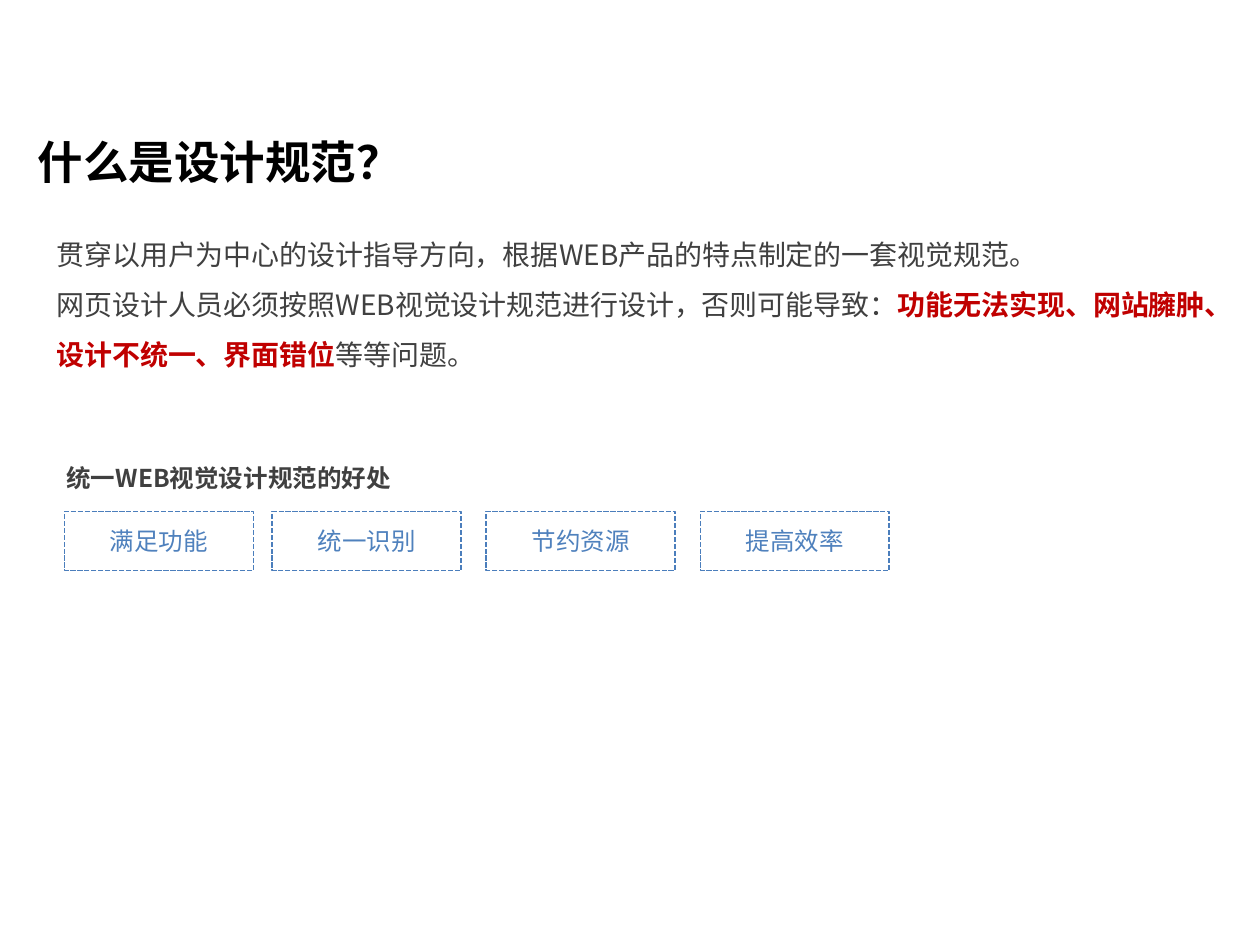
from dataclasses import dataclass

from lxml import etree
from pptx import Presentation
from pptx.dml.color import RGBColor
from pptx.enum.dml import MSO_LINE
from pptx.enum.lang import MSO_LANGUAGE_ID
from pptx.enum.shapes import MSO_SHAPE
from pptx.enum.text import MSO_ANCHOR, MSO_AUTO_SIZE, PP_ALIGN
from pptx.oxml.ns import qn
from pptx.util import Cm, Pt

RECTANGLE = MSO_SHAPE.RECTANGLE
DASH = MSO_LINE.SQUARE_DOT
CHINESE = MSO_LANGUAGE_ID.SIMPLIFIED_CHINESE
LEFT, CENTER = PP_ALIGN.LEFT, PP_ALIGN.CENTER
TOP, MIDDLE = MSO_ANCHOR.TOP, MSO_ANCHOR.MIDDLE
GROW, FIXED = MSO_AUTO_SIZE.SHAPE_TO_FIT_TEXT, MSO_AUTO_SIZE.NONE


@dataclass(frozen=True)
class Theme:
    """Fonts, type sizes and colours of the slide."""
    chinese: str = "Noto Sans CJK SC"
    latin: str = "Arial"
    title_size: int = 26
    body_size: int = 16
    label_size: int = 14
    black: str = "000000"
    grey: str = "404040"
    red: str = "C00000"
    blue: str = "4F81BD"
    border: str = "4B7EBC"


THEME = Theme()


@dataclass(frozen=True)
class Span:
    """A run of text with its look."""
    text: str
    size: int
    color: str = THEME.grey
    bold: bool = False
    font: str = THEME.chinese


@dataclass(frozen=True)
class Place:
    """A position and size in centimetres."""
    left: float
    top: float
    width: float
    height: float


@dataclass(frozen=True)
class Benefit:
    """A benefit and the left edge of its box."""
    label: str
    left: float


BODY = [
    [Span("贯穿以用户为中心的设计指导方向，根据WEB产品的特点制定的一套视觉规范。", THEME.body_size)],
    [
        Span("网页设计人员必须按照WEB视觉设计规范进行设计，否则可能导致：", THEME.body_size),
        Span("功能无法实现、网站臃肿、设计不统一、界面错位", THEME.body_size, THEME.red, True),
        Span("等等问题。", THEME.body_size),
    ],
]
BENEFITS = [
    Benefit("满足功能", 1.3),
    Benefit("统一识别", 5.49),
    Benefit("节约资源", 9.8),
    Benefit("提高效率", 14.12),
]


def add_span(para, span: Span) -> None:
    """Add one formatted run to a paragraph."""
    run = para.add_run()
    run.text = span.text
    font = run.font
    font.name, font.size, font.bold = span.font, Pt(span.size), span.bold
    font.color.rgb = RGBColor.from_string(span.color)
    font.language_id = CHINESE
    properties = run._r.get_or_add_rPr()
    etree.SubElement(properties, qn("a:ea"), typeface=THEME.chinese)


def fill_text(box, paragraphs: list[list[Span]], spacing: float = 1.0,
              align=LEFT, anchor=TOP, auto_size=FIXED) -> None:
    """Write paragraphs into a shape."""
    frame = box.text_frame
    frame.word_wrap = True
    frame.auto_size = auto_size
    frame.vertical_anchor = anchor
    for index, spans in enumerate(paragraphs):
        para = frame.add_paragraph() if index else frame.paragraphs[0]
        para.alignment, para.line_spacing = align, spacing
        para.space_before = Pt(0)
        for span in spans:
            add_span(para, span)


def bounds(place: Place) -> tuple[Cm, Cm, Cm, Cm]:
    """Turn a place into lengths."""
    return Cm(place.left), Cm(place.top), Cm(place.width), Cm(place.height)


def add_title(page, place: Place, span: Span) -> None:
    """Move and fill the title placeholder."""
    title = page.shapes.title
    title.left, title.top, title.width, title.height = bounds(place)
    fill_text(title, [[span]], auto_size=GROW)


def add_text(page, place: Place, paragraphs: list[list[Span]], auto_size=FIXED) -> None:
    """Add a text box with wide line spacing."""
    box = page.shapes.add_textbox(*bounds(place))
    fill_text(box, paragraphs, spacing=1.5, auto_size=auto_size)


def add_benefit(page, benefit: Benefit) -> None:
    """Add a dashed box with a centred label."""
    place = Place(benefit.left, 10.31, 3.81, 1.19)
    box = page.shapes.add_shape(RECTANGLE, *bounds(place))
    box.shadow.inherit = False
    box.fill.background()
    box.line.color.rgb = RGBColor.from_string(THEME.border)
    box.line.width = Pt(1)
    box.line.dash_style = DASH
    label = Span(benefit.label, THEME.label_size, THEME.blue, font=THEME.latin)
    fill_text(box, [[label]], align=CENTER, anchor=MIDDLE)


def main() -> None:
    """Build and save the slide."""
    deck = Presentation()
    deck.slide_width, deck.slide_height = Cm(25.4), Cm(19.05)
    page = deck.slides.add_slide(deck.slide_layouts[5])
    add_title(page, Place(0.51, 2.57, 22.48, 1.37),
              Span("什么是设计规范？", THEME.title_size, THEME.black, True))
    add_text(page, Place(0.89, 4.32, 23.8, 3.99), BODY)
    for benefit in BENEFITS:
        add_benefit(page, benefit)
    heading = Span("统一WEB视觉设计规范的好处", THEME.label_size, bold=True)
    add_text(page, Place(1.09, 8.92, 9.6, 1.04), [[heading]], GROW)
    deck.save("out.pptx")


if __name__ == "__main__":
    main()
